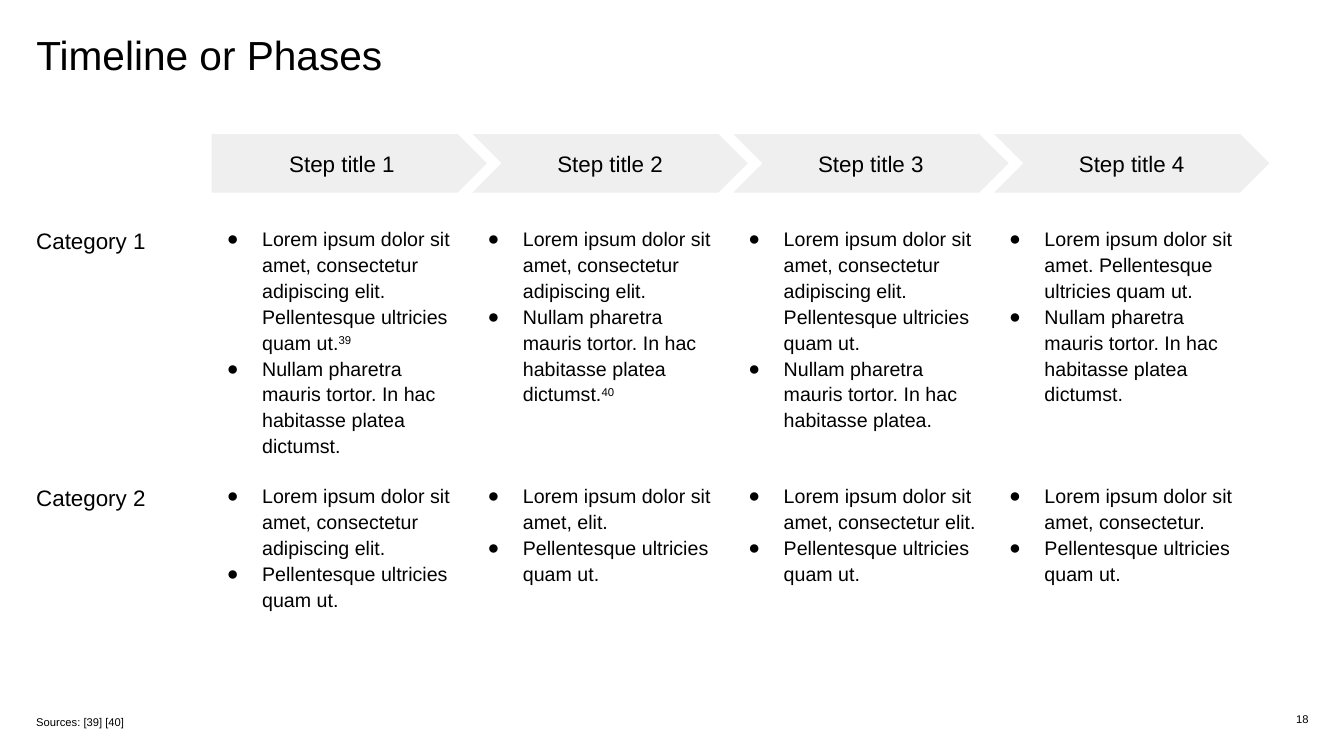
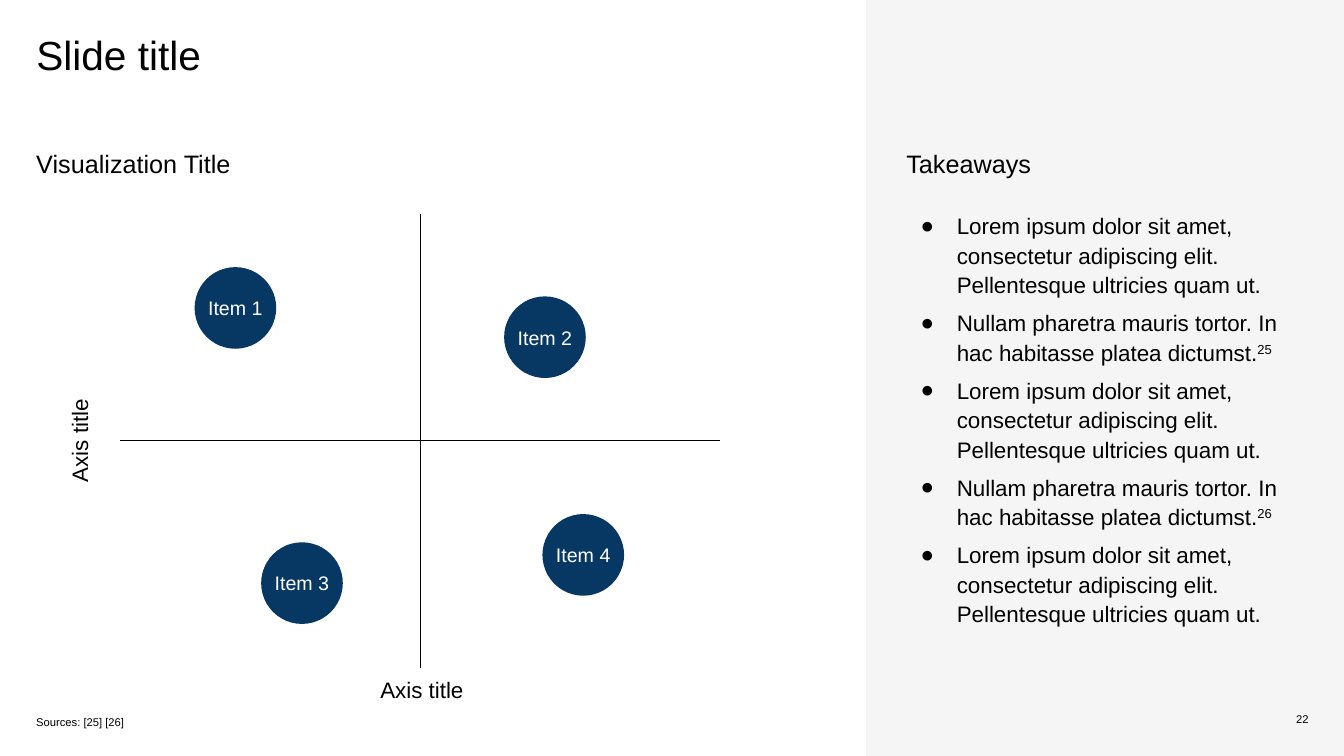
from dataclasses import dataclass
from typing import NamedTuple

from lxml.etree import SubElement
from pptx import Presentation
from pptx.dml.color import RGBColor
from pptx.enum.shapes import MSO_CONNECTOR, MSO_SHAPE as Preset
from pptx.enum.text import MSO_ANCHOR as Anchor, MSO_AUTO_SIZE as AutoSize, PP_ALIGN as Align
from pptx.oxml.ns import qn
from pptx.presentation import Presentation as Deck
from pptx.shapes.autoshape import Shape
from pptx.slide import Slide
from pptx.text.text import TextFrame
from pptx.util import Inches, Pt

FONT = "Arial"
BLACK, WHITE, NAVY = "000000", "FFFFFF", "073763"
STEP_GREY, PANEL_GREY = "EFEFEF", "F5F5F5"
SLIDE_WIDTH, SLIDE_HEIGHT = 13.33, 7.5
MARGIN = 0.36
LEADING = 1.1

DOLOR = "Lorem ipsum dolor sit amet"
ELIT = f"{DOLOR}, consectetur adipiscing elit."
QUAM = "Pellentesque ultricies quam ut."
HABITASSE = "Nullam pharetra mauris tortor. In hac habitasse platea"
DICTUMST = f"{HABITASSE} dictumst."


class Box(NamedTuple):
    left: float
    top: float
    width: float
    height: float

    def lengths(self) -> list[int]:
        return [Inches(side) for side in self]


class Bullet(NamedTuple):
    text: str
    source: str = ""


class Item(NamedTuple):
    label: str
    left: float
    top: float


@dataclass(frozen=True)
class Category:
    name: str
    top: float
    height: float
    cells: list[list[Bullet]]


CATEGORIES = [
    Category("Category 1", 2.23, 2.33, [
        [Bullet(f"{ELIT} {QUAM}", "39"), Bullet(DICTUMST)],
        [Bullet(ELIT), Bullet(DICTUMST, "40")],
        [Bullet(f"{ELIT} {QUAM}"), Bullet(f"{HABITASSE}.")],
        [Bullet(f"{DOLOR}. {QUAM}"), Bullet(DICTUMST)],
    ]),
    Category("Category 2", 4.78, 1.3, [
        [Bullet(first), Bullet(QUAM)]
        for first in (ELIT, f"{DOLOR}, elit.", f"{DOLOR}, consectetur elit.", f"{DOLOR}, consectetur.")
    ]),
]
ITEMS = [
    Item("Item 1", 1.93, 2.65),
    Item("Item 2", 5, 2.94),
    Item("Item 3", 2.59, 5.38),
    Item("Item 4", 5.38, 5.1),
]
TAKEAWAYS = [
    Bullet(f"{ELIT} {QUAM}"),
    Bullet(DICTUMST, "25"),
    Bullet(f"{ELIT} {QUAM}"),
    Bullet(DICTUMST, "26"),
    Bullet(f"{ELIT} {QUAM}"),
]


def rgb(color: str) -> RGBColor:
    return RGBColor.from_string(color)


def set_frame(frame: TextFrame, anchor: Anchor, margin_x: float = 0, margin_y: float = 0) -> None:
    frame.word_wrap = True
    frame.vertical_anchor = anchor
    frame.margin_left = frame.margin_right = Inches(margin_x)
    frame.margin_top = frame.margin_bottom = Inches(margin_y)


def format_text(frame: TextFrame, size: float, color: str = BLACK,
                align: Align = Align.LEFT, leading: float = 1) -> None:
    for paragraph in frame.paragraphs:
        paragraph.alignment = align
        paragraph.line_spacing = leading
        for run in paragraph.runs:
            run.font.name = FONT
            run.font.size = Pt(size)
            run.font.color.rgb = rgb(color)


def add_text(slide: Slide, box: Box, text: str, size: float, align: Align = Align.LEFT,
             leading: float = LEADING, anchor: Anchor = Anchor.TOP,
             margin_x: float = 0, margin_y: float = 0) -> Shape:
    label = slide.shapes.add_textbox(*box.lengths())
    set_frame(label.text_frame, anchor, margin_x, margin_y)
    label.text_frame.text = text
    format_text(label.text_frame, size, align=align, leading=leading)
    return label


def add_bullets(slide: Slide, box: Box, bullets: list[Bullet], size: float,
                hanging: float, gap: float = 0) -> None:
    body = add_text(slide, box, "\n".join(bullet.text for bullet in bullets), size)
    frame = body.text_frame
    frame.auto_size = AutoSize.SHAPE_TO_FIT_TEXT
    for paragraph, bullet in zip(frame.paragraphs, bullets):
        if bullet.source:
            reference = paragraph.add_run()
            reference.text = bullet.source
            reference.font._element.set("baseline", "30000")
    format_text(frame, size, leading=LEADING)
    for index, paragraph in enumerate(frame.paragraphs):
        paragraph.space_before = Pt(gap if index else 0)
        properties = paragraph._p.get_or_add_pPr()
        properties.set("marL", str(Inches(0.5)))
        properties.set("indent", str(-Inches(hanging)))
        SubElement(SubElement(properties, qn("a:buClr")), qn("a:srgbClr"), val=BLACK)
        SubElement(properties, qn("a:buFont"), typeface=FONT)
        SubElement(properties, qn("a:buChar"), char="●")


def add_block(slide: Slide, preset: Preset, box: Box, fill: str) -> Shape:
    block = slide.shapes.add_shape(preset, *box.lengths())
    block.shadow.inherit = False
    block.fill.solid()
    block.fill.fore_color.rgb = rgb(fill)
    block.line.fill.background()
    return block


def add_label(block: Shape, text: str, size: float, color: str, margin: float = 0) -> None:
    set_frame(block.text_frame, Anchor.MIDDLE, margin, margin)
    block.text_frame.text = text
    format_text(block.text_frame, size, color, Align.CENTER)


def add_axis(slide: Slide, start: tuple[float, float], end: tuple[float, float]) -> None:
    axis = slide.shapes.add_connector(
        MSO_CONNECTOR.STRAIGHT, *(Inches(value) for value in (*start, *end)))
    axis.line.color.rgb = rgb(BLACK)
    axis.line.width = Pt(1)
    SubElement(axis._element.spPr, qn("a:effectLst"))


def start_slide(deck: Deck, heading: str, width: float) -> Slide:
    slide = deck.slides.add_slide(deck.slide_layouts.get_by_name("Title Only"))
    title = slide.shapes.title
    title.left, title.top, title.width, title.height = Box(MARGIN, 0.3, width, 0.49).lengths()
    set_frame(title.text_frame, Anchor.TOP)
    title.text_frame.auto_size = AutoSize.SHAPE_TO_FIT_TEXT
    title.text_frame.text = heading
    format_text(title.text_frame, 29)
    return slide


def add_footer(slide: Slide, sources: str, number: int) -> None:
    add_text(slide, Box(12.6, 7.04, 0.38, 0.18), str(number), 8, Align.RIGHT, 1, Anchor.MIDDLE)
    add_text(slide, Box(0.26, 7.04, 6.17, 0.24), f"Sources: {sources}", 8,
             leading=1, anchor=Anchor.BOTTOM, margin_x=0.1, margin_y=0.05)


def build_timeline(deck: Deck) -> None:
    slide = start_slide(deck, "Timeline or Phases", 12.61)
    first_left, last_left, steps = 2.1, 9.86, 4
    pitch = (last_left - first_left) / (steps - 1)
    lefts = [first_left + step * pitch for step in range(steps)]
    for number, left in enumerate(lefts, 1):
        preset = Preset.PENTAGON if number == 1 else Preset.CHEVRON
        step = add_block(slide, preset, Box(left, 1.33, 2.73, 0.58), STEP_GREY)
        add_label(step, f"Step title {number}", 16, BLACK, 0.1)
    for category in CATEGORIES:
        add_text(slide, Box(MARGIN, category.top, 1.46, 0.3), category.name, 16)
        for left, bullets in zip(lefts, category.cells):
            add_bullets(slide, Box(left, category.top, 2.43, category.height), bullets, 14, 0.35)
    add_footer(slide, "[39] [40]", 18)


def build_quadrants(deck: Deck) -> None:
    slide = start_slide(deck, "Slide title", 7.73)
    panel_left, takeaways_left = 8.59, 8.99
    add_block(slide, Preset.RECTANGLE,
              Box(panel_left, 0, SLIDE_WIDTH - panel_left, SLIDE_HEIGHT), PANEL_GREY)
    add_text(slide, Box(MARGIN, 1.44, 7.73, 0.33), "Visualization Title", 18)
    add_text(slide, Box(takeaways_left, 1.44, 3.94, 0.33), "Takeaways", 18)
    add_bullets(slide, Box(takeaways_left, 2.08, 3.94, 4.27), TAKEAWAYS, 16, 0.36, gap=6)

    add_axis(slide, (4.17, 2.12), (4.17, 6.63))
    add_axis(slide, (1.19, 4.37), (7.14, 4.37))
    for left, top, rotation in ((3.4, 6.68, 0), (0.08, 4.13, 270)):
        axis_title = add_text(slide, Box(left, top, 1.57, 0.48), "Axis title", 16, Align.CENTER)
        axis_title.rotation = rotation
    for item in ITEMS:
        bubble = add_block(slide, Preset.ROUNDED_RECTANGLE,
                           Box(item.left, item.top, 0.81, 0.81), NAVY)
        bubble.adjustments[0] = 0.5
        add_label(bubble, item.label, 14, WHITE)
    add_footer(slide, "[25] [26]", 22)


def main() -> None:
    deck = Presentation()
    deck.slide_width, deck.slide_height = Inches(SLIDE_WIDTH), Inches(SLIDE_HEIGHT)
    build_timeline(deck)
    build_quadrants(deck)
    deck.save("out.pptx")


if __name__ == "__main__":
    main()
